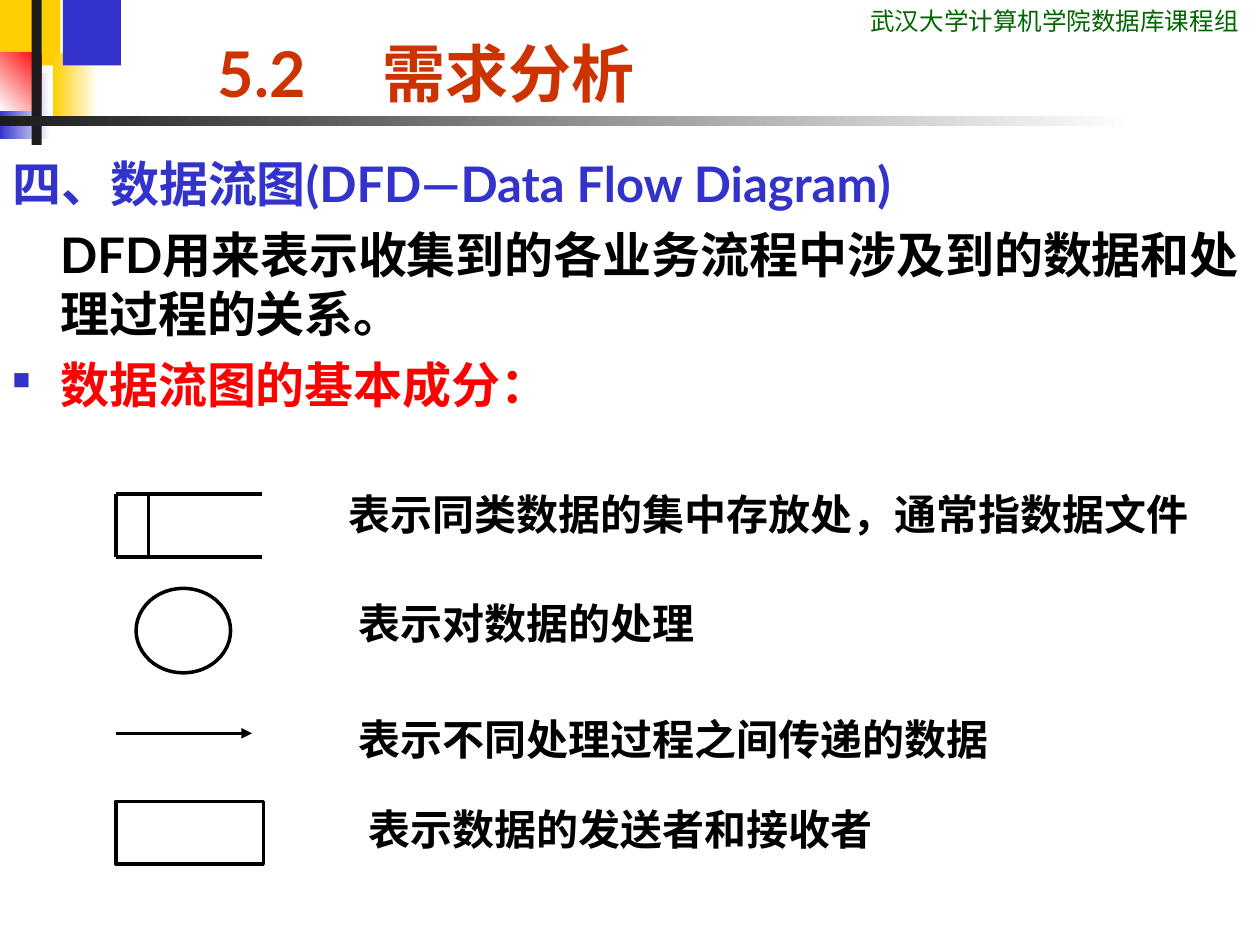
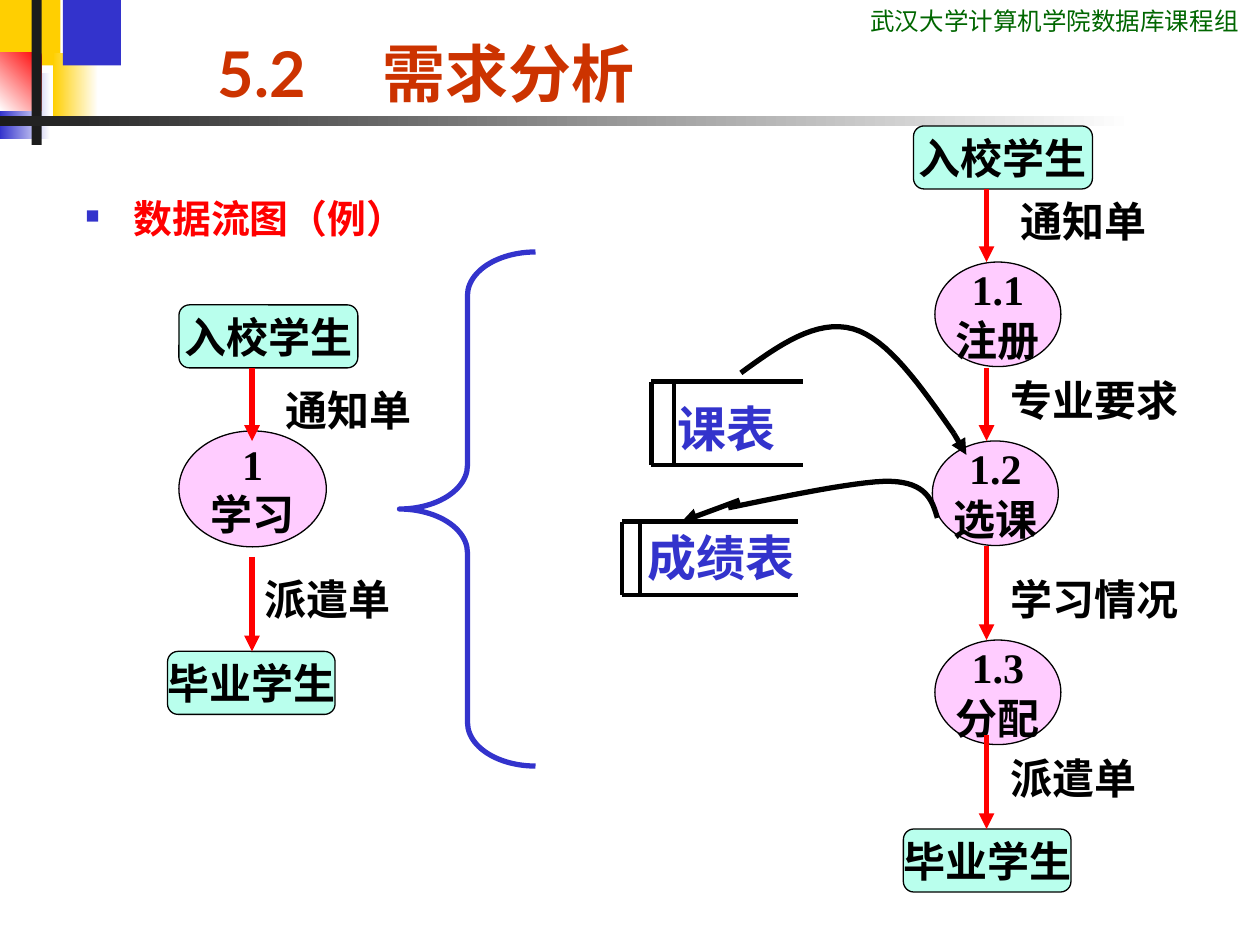
from lxml.etree import SubElement
from pptx import Presentation
from pptx.dml.color import RGBColor
from pptx.enum.shapes import MSO_CONNECTOR, MSO_SHAPE
from pptx.enum.text import MSO_ANCHOR, PP_ALIGN
from pptx.oxml.ns import qn
from pptx.util import Inches, Pt

BLACK = RGBColor(0x00, 0x00, 0x00)
WHITE = RGBColor(0xFF, 0xFF, 0xFF)
CHARCOAL = RGBColor(0x1C, 0x1C, 0x1C)
GOLD = RGBColor(0xFF, 0xCF, 0x01)
BLUE = RGBColor(0x33, 0x33, 0xCC)
RED = RGBColor(0xFF, 0x00, 0x00)
RUST = RGBColor(0xCC, 0x33, 0x00)
GREEN = RGBColor(0x00, 0x66, 0x00)
PINK = RGBColor(0xFF, 0xCC, 0xFF)
MINT = RGBColor(0xB9, 0xFF, 0xED)

COURSE_GROUP = "武汉大学计算机学院数据库课程组"
TITLE = "5.2\t需求分析"
TITLE_TAB = 1.31

FORMATS = {
    "group": {"name": "Roboto Condensed", "size": Pt(14), "bold": False},
    "title": {"name": "Lato", "size": Pt(36), "bold": True},
    "body": {"name": "Lato", "size": Pt(28), "bold": True},
    "example": {"name": "Lato", "size": Pt(22.2), "bold": True},
    "legend": {"name": "Lato", "size": Pt(24), "bold": True},
    "diagram": {"name": "Times New Roman", "size": Pt(24), "bold": True},
    "store": {"name": "Times New Roman", "size": Pt(28), "bold": True},
}

# left, top, width, height, colours (one, or start and end), gradient angle
DECORATIONS = [
    (0, 0, 0.48, 0.52, (GOLD,), 0),
    (0.42, 0.42, 0.36, 0.52, (WHITE, GOLD), 180),
    (0.5, 0, 0.46, 0.52, (BLUE,), 0),
    (0, 0.58, 0.4, 0.52, (WHITE, BLUE), 180),
    (0, 0.42, 0.33, 0.46, (RED, WHITE), 225),
    (0.25, 0, 0.08, 1.15, (CHARCOAL,), 0),
    (0, 0.92, 9, 0.08, (WHITE, CHARCOAL), 180),
]

# text, colour, first-line indent, bullet
DEFINITION = [
    ("四、数据流图(DFD—Data Flow Diagram)", BLUE, -0.38, False),
    ("DFD用来表示收集到的各业务流程中涉及到的数据和处理过程的关系。", BLACK, 0, False),
    ("数据流图的基本成分：", RED, -0.38, True),
]
EXAMPLE = [("数据流图（例）", RED, -0.38, True)]

# left, top, width, text
LEGEND = [
    (2.67, 3.83, 7.08, "表示同类数据的集中存放处，通常指数据文件"),
    (2.75, 4.69, 4.67, "表示对数据的处理"),
    (2.75, 5.61, 6.25, "表示不同处理过程之间传递的数据"),
    (2.83, 6.33, 5.75, "表示数据的发送者和接收者"),
]

# left, top, width, height, lines
PROCESSES = [
    (7.42, 2.08, 1, 0.83, ("1.1", "注册")),
    (7.4, 3.5, 1, 0.83, ("1.2", "选课")),
    (7.42, 5.08, 1, 0.83, ("1.3", "分配")),
    (1.42, 3.42, 1.17, 0.92, ("1", "学习")),
]
# left, top, width, text
ENTITIES = [
    (7.25, 1, 1.42, "入校学生"),
    (7.17, 6.58, 1.33, "毕业学生"),
    (1.42, 2.42, 1.42, "入校学生"),
    (1.33, 5.17, 1.33, "毕业学生"),
]
# arrow x, arrow top, arrow bottom, label left, label top, label
FLOWS = [
    (7.83, 1.5, 2.08, 8, 1.5, "通知单"),
    (7.83, 2.92, 3.5, 7.92, 2.92, "专业要求"),
    (7.83, 4.33, 5.08, 7.92, 4.5, "学习情况"),
    (7.83, 5.83, 6.58, 7.92, 5.92, "派遣单"),
    (2, 2.92, 3.5, 2.17, 3, "通知单"),
    (2, 4.42, 5.17, 2, 4.5, "派遣单"),
]
# left, top, right, bottom, divider x, weights of top, left, bottom and divider
LEGEND_STORE = (0.92, 3.92, 2.08, 4.42, 1.18, (2, 2, 2, 2))
STORES = [
    (5.17, 3.03, 6.37, 3.69, 5.35, (3, 3, 2.25, 2)),
    (4.94, 4.14, 6.33, 4.72, 5.08, (3, 2.25, 2.25, 2)),
]
STORE_LABELS = [(5.28, 3.11, 1.1, "课表"), (5.04, 4.14, 1.47, "成绩表")]
# Bezier points of each curve, then the arrow that ends it
STORE_LINKS = [
    ([(5.88, 2.96), (6.18, 2.74), (6.48, 2.53), (6.77, 2.61),
      (7.05, 2.69), (7.31, 3.07), (7.57, 3.44)], (7.57, 3.44), (7.67, 3.61)),
    ([(7.44, 4.11), (7.4, 3.97), (7.35, 3.83), (7.07, 3.82),
      (6.8, 3.81), (5.99, 3.99), (5.78, 4.03)], (5.87, 3.97), (5.41, 4.14)),
]


def write(paragraph, text, style, color):
    paragraph.text = text
    for name, value in FORMATS[style].items():
        setattr(paragraph.font, name, value)
    paragraph.font.color.rgb = color


def add_text(slide, left, top, width, height, text, style, color=BLACK, wrap=True):
    box = slide.shapes.add_textbox(*map(Inches, (left, top, width, height)))
    box.text_frame.word_wrap = wrap
    write(box.text_frame.paragraphs[0], text, style, color)
    return box


def add_shape(slide, kind, box, fill=None, line=None, weight=0.75, lines=()):
    shape = slide.shapes.add_shape(kind, *map(Inches, box))
    shape.shadow.inherit = False
    if fill is None:
        shape.fill.background()
    else:
        shape.fill.solid()
        shape.fill.fore_color.rgb = fill
    if line is None:
        shape.line.fill.background()
    else:
        shape.line.color.rgb = line
        shape.line.width = Pt(weight)
    frame = shape.text_frame
    frame.word_wrap = False
    frame.vertical_anchor = MSO_ANCHOR.MIDDLE
    for index, text in enumerate(lines):
        paragraph = frame.add_paragraph() if index else frame.paragraphs[0]
        paragraph.alignment = PP_ALIGN.CENTER
        write(paragraph, text, "diagram", BLACK)
    return shape


def add_line(slide, start, end, weight, color=BLACK, arrow=False):
    line = slide.shapes.add_connector(MSO_CONNECTOR.STRAIGHT, *map(Inches, (*start, *end)))
    line.line.color.rgb = color
    line.line.width = Pt(weight)
    if arrow:
        SubElement(line.line._get_or_add_ln(), qn("a:tailEnd"), type="triangle")
    SubElement(line._element.spPr, qn("a:effectLst"))


def add_store(slide, left, top, right, bottom, divider, weights):
    """Draw a data store: a box open on the right with a divider."""
    edges = [
        ((left, top), (right, top)),
        ((left, top), (left, bottom)),
        ((left, bottom), (right, bottom)),
        ((divider, top), (divider, bottom)),
    ]
    for (start, end), weight in zip(edges, weights):
        add_line(slide, start, end, weight)


def bezier_points(controls, steps=16):
    """Return points, in EMU, along a chain of cubic Bezier segments."""
    points = [tuple(map(Inches, controls[0]))]
    for first in range(0, len(controls) - 1, 3):
        segment = controls[first:first + 4]
        for step in range(1, steps + 1):
            t = step / steps
            shares = ((1 - t) ** 3, 3 * t * (1 - t) ** 2, 3 * t * t * (1 - t), t ** 3)
            points.append(tuple(
                Inches(sum(share * point[axis] for share, point in zip(shares, segment)))
                for axis in (0, 1)))
    return points


def add_curve(slide, controls):
    start, *rest = bezier_points(controls)
    builder = slide.shapes.build_freeform(*start)
    builder.add_line_segments(rest, close=False)
    curve = builder.convert_to_shape()
    curve.shadow.inherit = False
    curve.fill.background()
    curve.line.color.rgb = BLACK
    curve.line.width = Pt(3)


def add_body(slide, box, items, style):
    frame = slide.shapes.add_textbox(*map(Inches, box)).text_frame
    frame.word_wrap = True
    for index, (text, color, indent, bullet) in enumerate(items):
        paragraph = frame.add_paragraph() if index else frame.paragraphs[0]
        properties = paragraph._p.get_or_add_pPr()
        properties.set("marL", str(Inches(0.38)))
        properties.set("indent", str(Inches(indent)))
        if bullet:
            bullet_color = SubElement(properties, qn("a:buClr"))
            SubElement(bullet_color, qn("a:srgbClr"), val=str(BLUE))
            SubElement(properties, qn("a:buSzPct"), val="50000")
            SubElement(properties, qn("a:buChar"), char="■")
        if index:
            paragraph.space_before = Pt(7)
        write(paragraph, text, style, color)


def add_base_slide(presentation):
    """Add a slide with the corner blocks, course group and title."""
    slide = presentation.slides.add_slide(presentation.slide_layouts[6])
    for *box, colors, angle in DECORATIONS:
        block = add_shape(slide, MSO_SHAPE.RECTANGLE, box, fill=colors[0])
        if len(colors) > 1:
            block.fill.gradient()
            block.fill.gradient_angle = angle
            for stop, color in zip(block.fill.gradient_stops, colors):
                stop.color.rgb = color
    add_text(slide, 6.81, 0, 3.19, 0.34, COURSE_GROUP, "group", GREEN)
    title = add_text(slide, 1.63, 0, 7.7, 0.92, TITLE, "title", RUST)
    title.text_frame.vertical_anchor = MSO_ANCHOR.BOTTOM
    properties = title.text_frame.paragraphs[0]._p.get_or_add_pPr()
    tabs = properties.makeelement(qn("a:tabLst"))
    SubElement(tabs, qn("a:tab"), pos=str(Inches(TITLE_TAB)), algn="l")
    properties.insert(0, tabs)
    return slide


def add_components_slide(presentation):
    slide = add_base_slide(presentation)
    add_body(slide, (0, 1.17, 10, 2.75), DEFINITION, "body")
    add_store(slide, *LEGEND_STORE)
    add_shape(slide, MSO_SHAPE.FLOWCHART_CONNECTOR, (1.08, 4.67, 0.75, 0.67), WHITE, BLACK, 2)
    add_line(slide, (0.92, 5.82), (2, 5.82), 2, arrow=True)
    add_shape(slide, MSO_SHAPE.RECTANGLE, (0.92, 6.36, 1.17, 0.5), WHITE, BLACK, 2)
    for left, top, width, text in LEGEND:
        add_text(slide, left, top, width, 0.5, text, "legend")


def add_example_slide(presentation):
    slide = add_base_slide(presentation)
    add_body(slide, (0.58, 1.5, 2.75, 0.67), EXAMPLE, "example")
    for *box, lines in PROCESSES:
        add_shape(slide, MSO_SHAPE.OVAL, box, PINK, BLACK, lines=lines)
    for left, top, width, text in ENTITIES:
        add_shape(slide, MSO_SHAPE.ROUNDED_RECTANGLE, (left, top, width, 0.5),
                  MINT, BLACK, lines=(text,))
    for x, top, bottom, label_left, label_top, label in FLOWS:
        add_line(slide, (x, top), (x, bottom), 3, RED, arrow=True)
        width = 0.2 + len(label) / 3
        add_text(slide, label_left, label_top, width, 0.5, label, "diagram", wrap=False)
    brace = add_shape(slide, MSO_SHAPE.LEFT_BRACE, (3.17, 2, 1.08, 4.08), line=BLUE, weight=3)
    brace.adjustments[0] = 0.32
    for store in STORES:
        add_store(slide, *store)
    for left, top, width, text in STORE_LABELS:
        add_text(slide, left, top, width, 0.57, text, "store", BLUE)
    for controls, start, end in STORE_LINKS:
        add_curve(slide, controls)
        add_line(slide, start, end, 3, arrow=True)


def main():
    presentation = Presentation()
    presentation.slide_width = Inches(10)
    presentation.slide_height = Inches(7.5)
    add_components_slide(presentation)
    add_example_slide(presentation)
    presentation.save("out.pptx")


if __name__ == "__main__":
    main()
